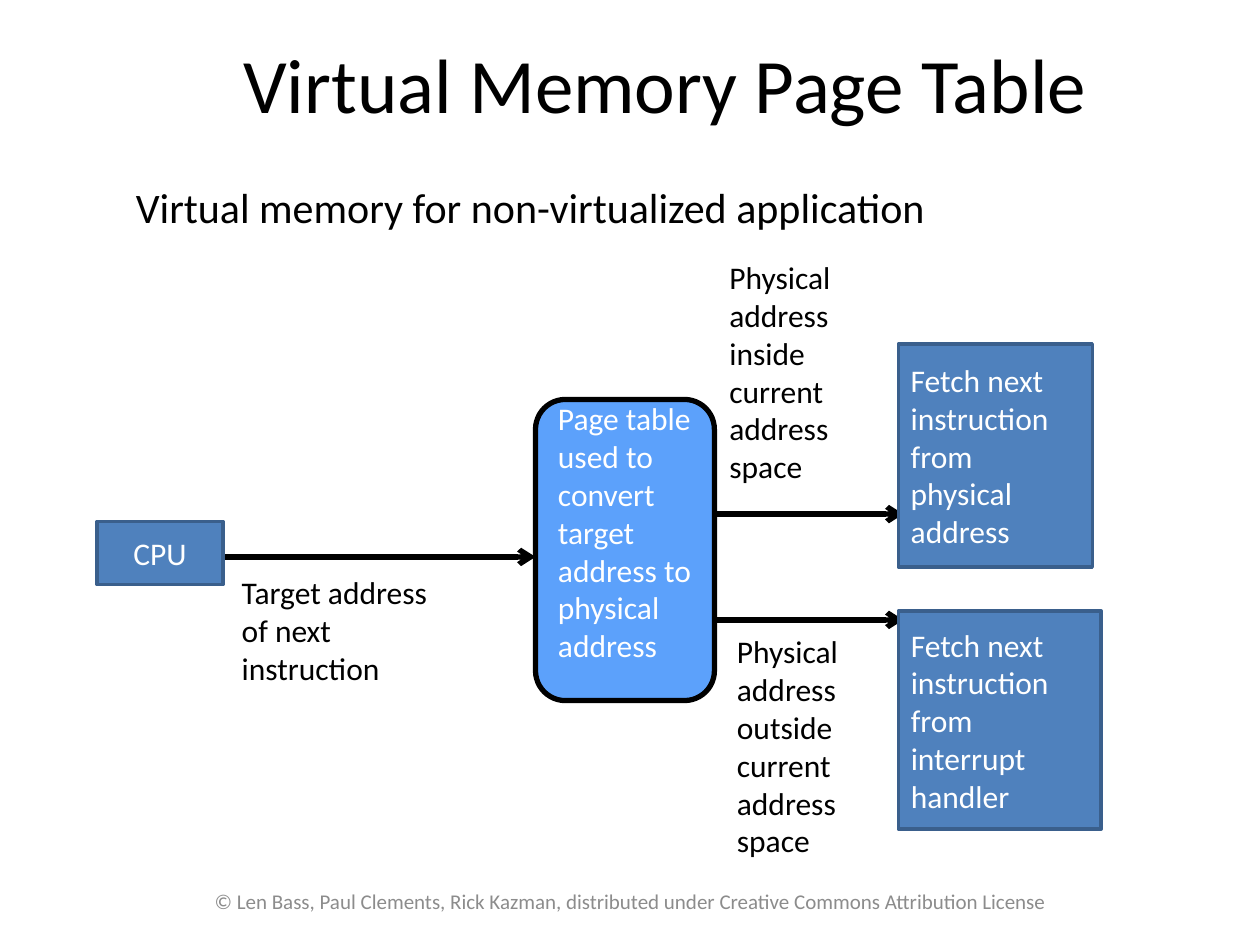
from dataclasses import dataclass

import pptx
import pptx.dml.color
import pptx.enum.shapes
import pptx.enum.text
import pptx.oxml
import pptx.oxml.ns
import pptx.util
from pptx.util import Inches

SHAPE = pptx.enum.shapes.MSO_SHAPE
ALIGN = pptx.enum.text.PP_ALIGN
ANCHOR = pptx.enum.text.MSO_ANCHOR
FIT = pptx.enum.text.MSO_AUTO_SIZE


@dataclass(frozen=True)
class Theme:
    font: str = "Calibri"
    black: str = "000000"
    white: str = "FFFFFF"
    grey: str = "8C8C8C"
    box: str = "4F81BD"
    box_edge: str = "3A5F8C"
    table: str = "5CA1FB"
    title: int = 44
    subtitle: int = 24
    body: int = 18
    footer: int = 12
    edge: int = 2
    heavy: int = 3


T = Theme()


def rgb(value):
    return pptx.dml.color.RGBColor.from_string(value)


def apply(obj, **values):
    for name, value in values.items():
        setattr(obj, name, value)


def place(sp, left, top, width, height):
    apply(sp, left=Inches(left), top=Inches(top),
          width=Inches(width), height=Inches(height))


def write(sp, text, size=T.body, color=T.black, align=ALIGN.LEFT,
          anchor=ANCHOR.TOP, wrap=True, fit=FIT.NONE):
    tf = sp.text_frame
    apply(tf, word_wrap=wrap, auto_size=fit, vertical_anchor=anchor)
    p = tf.paragraphs[0]
    p.alignment = align
    r = p.add_run()
    r.text = text
    apply(r.font, name=T.font, size=pptx.util.Pt(size))
    r.font.color.rgb = rgb(color)
    return p


def set_line(sp, color, width):
    sp.line.color.rgb = rgb(color)
    sp.line.width = pptx.util.Pt(width)


def add_title(s, text, at):
    sp = s.shapes.title
    place(sp, *at)
    p = write(sp, text, T.title, align=ALIGN.CENTER, anchor=ANCHOR.MIDDLE)
    p.line_spacing = 0.8


def add_label(s, text, at, **style):
    sp = s.shapes.add_textbox(*map(Inches, at))
    write(sp, text, **{"fit": FIT.SHAPE_TO_FIT_TEXT, **style})


def add_box(s, at, kind=SHAPE.RECTANGLE, fill=T.box, edge=T.box_edge, width=T.edge):
    sp = s.shapes.add_shape(kind, *map(Inches, at))
    sp.shadow.inherit = False
    sp.fill.solid()
    sp.fill.fore_color.rgb = rgb(fill)
    set_line(sp, edge, width)
    return sp


def add_arrow(s, x1, x2, y):
    sp = s.shapes.add_connector(pptx.enum.shapes.MSO_CONNECTOR.STRAIGHT,
                                *map(Inches, (x1, y, x2, y)))
    set_line(sp, T.black, T.heavy)
    qn = pptx.oxml.ns.qn
    sp.line._get_or_add_ln().append(
        sp._element.makeelement(qn("a:tailEnd"), {"type": "arrow"}))
    sp._element.spPr.append(sp._element.makeelement(qn("a:effectLst"), {}))


def main():
    prs = pptx.Presentation()
    apply(prs, slide_width=Inches(10), slide_height=Inches(7.5))
    s = prs.slides.add_slide(prs.slide_layouts[5])

    add_title(s, "Virtual Memory Page Table", (1.06, 0.3, 8.44, 0.85))
    add_label(s, "Virtual memory for non-virtualized application",
              (0.98, 1.39, 6.5, 0.5), size=T.subtitle, wrap=False)

    for arrow in ((1.75, 4.25, 4.42), (5.67, 7.17, 4.08), (5.67, 7.17, 4.92)):
        add_arrow(s, *arrow)

    add_box(s, (4.25, 3.17, 1.42, 2.39), SHAPE.ROUNDED_RECTANGLE,
            T.table, T.black, T.heavy)
    add_label(s, "Page table used to convert target address to physical address",
              (4.33, 3.12, 1.32, 2.22), color=T.white)

    for text, at in (
        ("Target address of next instruction", (1.82, 4.5, 1.85, 1.01)),
        ("Physical address inside current address space", (5.69, 2, 1.48, 1.92)),
        ("Physical address outside current address space", (5.75, 4.97, 1.42, 1.92)),
    ):
        add_label(s, text, at)

    for text, at, align in (
        ("CPU", (0.77, 4.14, 1, 0.5), ALIGN.CENTER),
        ("Fetch next instruction from physical address",
         (7.13, 2.73, 1.54, 1.77), ALIGN.LEFT),
        ("Fetch next instruction from interrupt handler",
         (7.13, 4.85, 1.61, 1.73), ALIGN.LEFT),
    ):
        write(add_box(s, at), text, color=T.white, align=align, anchor=ANCHOR.MIDDLE)

    add_label(s, "© Len Bass, Paul Clements, Rick Kazman, distributed under "
              "Creative Commons Attribution License", (1.54, 6.95, 6.93, 0.4),
              size=T.footer, color=T.grey, align=ALIGN.CENTER,
              anchor=ANCHOR.MIDDLE, fit=FIT.NONE)

    prs.save("out.pptx")


if __name__ == "__main__":
    main()
